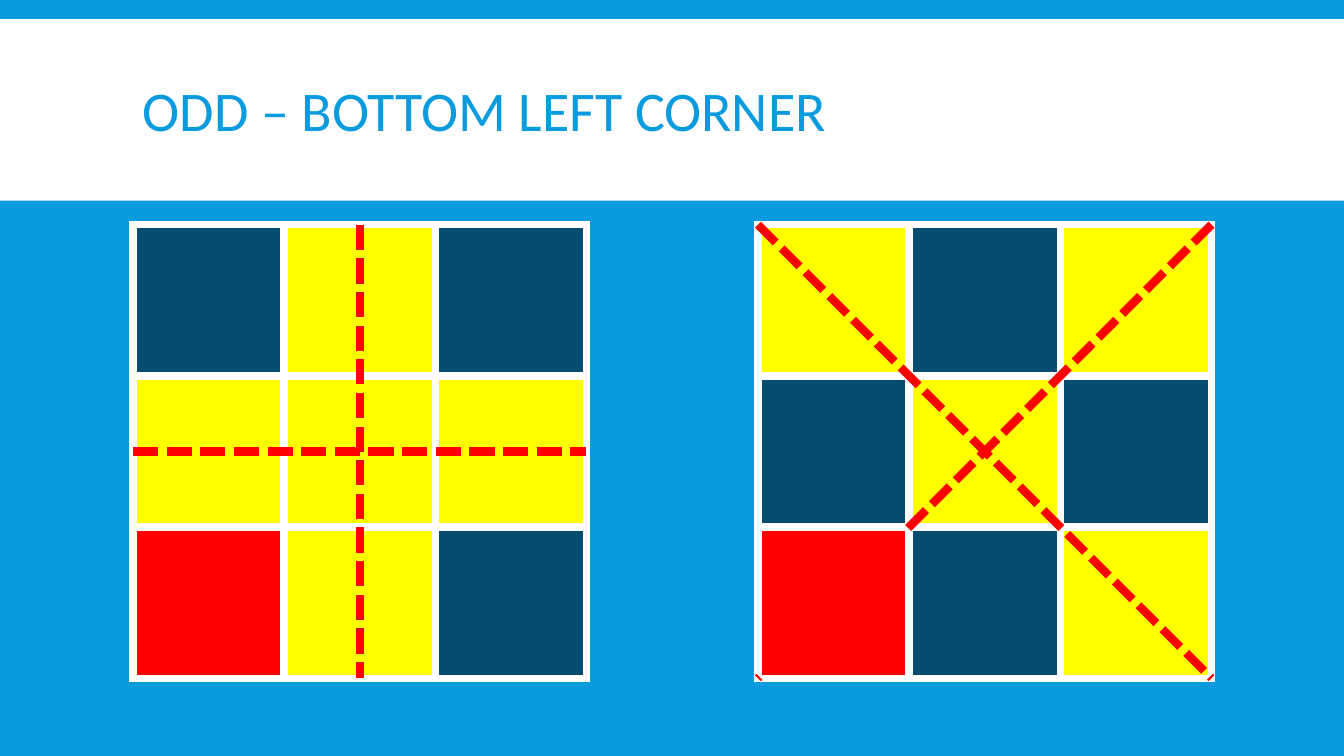
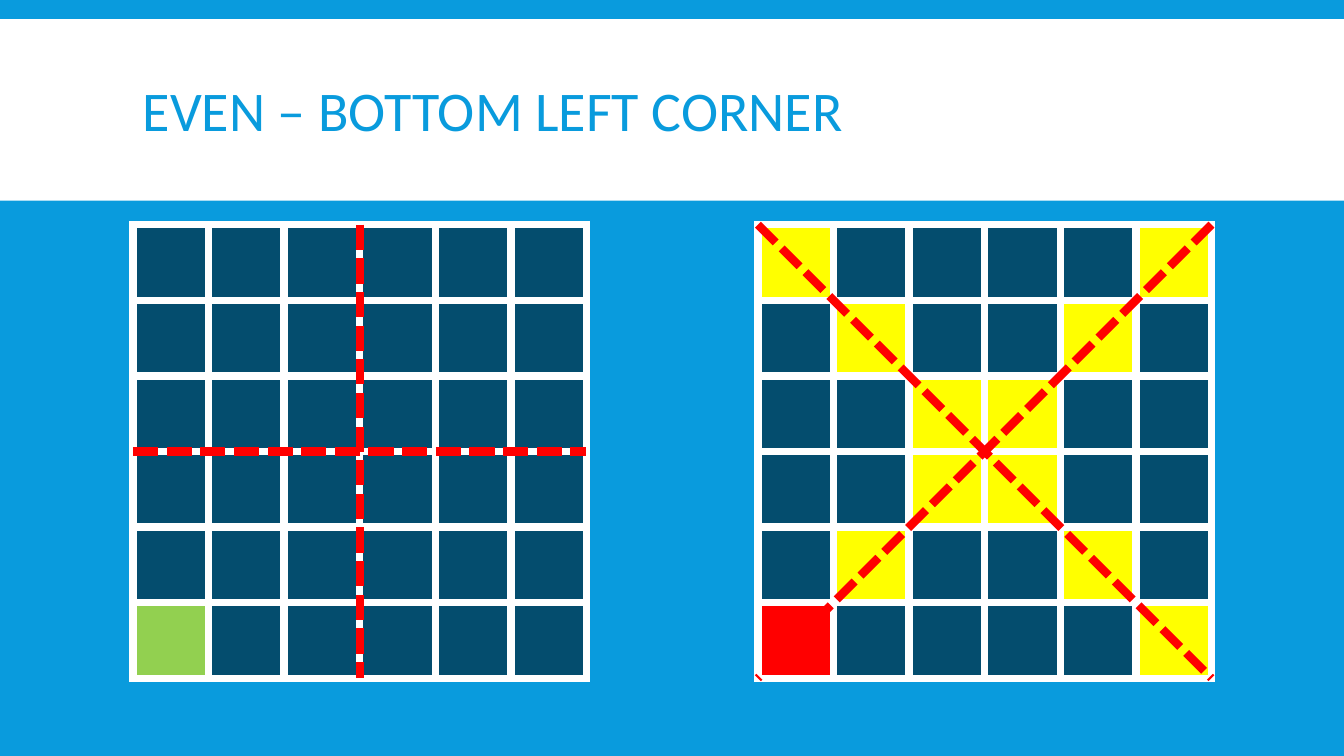
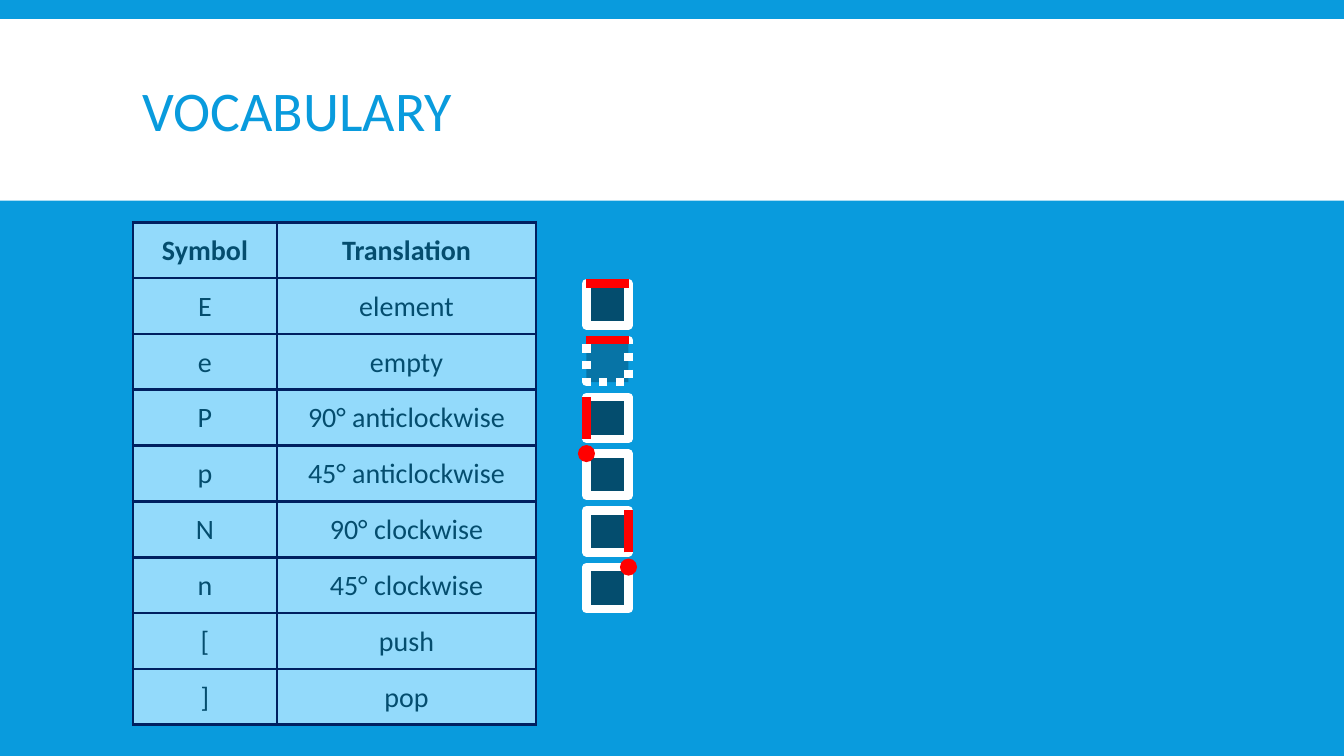
from lxml import etree
from pptx import Presentation
from pptx.dml.color import RGBColor
from pptx.enum.dml import MSO_LINE
from pptx.enum.shapes import MSO_CONNECTOR, MSO_SHAPE
from pptx.enum.text import MSO_ANCHOR, PP_ALIGN
from pptx.oxml.ns import qn
from pptx.util import Cm, Pt

BLUE = RGBColor(0x09, 0x9B, 0xDD)
WHITE = RGBColor(0xFF, 0xFF, 0xFF)
DARK = RGBColor(0x04, 0x4D, 0x6E)
MEDIUM = RGBColor(0x07, 0x74, 0xA6)
PALE = RGBColor(0x93, 0xDA, 0xFB)
NAVY = RGBColor(0x00, 0x20, 0x60)
YELLOW = RGBColor(0xFF, 0xFF, 0x00)
RED = RGBColor(0xFF, 0x00, 0x00)
GREEN = RGBColor(0x92, 0xD0, 0x50)

FONT = "Calibri"
DASH, DOT = MSO_LINE.SQUARE_DOT, MSO_LINE.ROUND_DOT
STRAIGHT = MSO_CONNECTOR.STRAIGHT
RECTANGLE, OVAL = MSO_SHAPE.RECTANGLE, MSO_SHAPE.OVAL
MIDDLE, CENTER = MSO_ANCHOR.MIDDLE, PP_ALIGN.CENTER

MARGIN = 3.35
BOARD_LEFTS = (MARGIN, 19.1)
BOARD_TOP = 5.66
BOARD_SIZE = 11.43

# Board squares: . plain, y on an axis, r start on an odd board, g start off the axes
SQUARE_COLOURS = {".": DARK, "y": YELLOW, "r": RED, "g": GREEN}

# Line ends as fractions of a square: x1, y1, x2, y2
AXES = ((0, 0.5, 1, 0.5), (0.5, 0, 0.5, 1))
DIAGONALS = ((1, 0, 0, 1), (0, 0, 1, 1))
TOP_EDGE, LEFT_EDGE, RIGHT_EDGE = (1, 0, 0, 0), (0, 0, 0, 1), (1, 1, 1, 0)
TOP_LEFT, TOP_RIGHT = (0, 0), (1, 0)


def style_cell(cell, fill, border, width):
    """Fill a table cell and draw the same border on its four sides."""
    properties = cell._tc.get_or_add_tcPr()
    for side in ("a:lnL", "a:lnR", "a:lnT", "a:lnB"):
        line = etree.SubElement(properties, qn(side), w=str(Pt(width)))
        solid = etree.SubElement(line, qn("a:solidFill"))
        etree.SubElement(solid, qn("a:srgbClr"), val=str(border))
    cell.fill.solid()
    cell.fill.fore_color.rgb = fill


def add_red_line(shapes, left, top, size, ends, dash=None):
    """Draw a line whose ends are fractions of the square at left, top."""
    x1, y1, x2, y2 = ends
    line = shapes.add_connector(
        STRAIGHT, Cm(left + x1 * size), Cm(top + y1 * size),
        Cm(left + x2 * size), Cm(top + y2 * size))
    line.line.color.rgb = RED
    line.line.width = Pt(6)
    if dash:
        line.line.dash_style = dash
    etree.SubElement(line._element.spPr, qn("a:effectLst"))


prs = Presentation()
prs.slide_width, prs.slide_height = Cm(33.87), Cm(19.05)
background = prs.slide_master.background.fill
background.solid()
background.fore_color.rgb = BLUE

# Title band on every slide
slides = []
for heading in ("ODD – BOTTOM LEFT CORNER", "EVEN – BOTTOM LEFT CORNER", "VOCABULARY"):
    slide = prs.slides.add_slide(prs.slide_layouts[6])
    slides.append(slide)
    band = slide.shapes.add_shape(RECTANGLE, 0, Cm(0.48), prs.slide_width, Cm(4.58))
    band.shadow.inherit = False
    band.fill.solid()
    band.fill.fore_color.rgb = WHITE
    band.line.fill.background()

    title = slide.shapes.add_textbox(Cm(MARGIN), Cm(0.79), Cm(27.18), Cm(4.19)).text_frame
    title.word_wrap = True
    title.vertical_anchor = MIDDLE
    paragraph = title.paragraphs[0]
    paragraph.text = heading
    paragraph.line_spacing = 0.85
    paragraph.font.name = FONT
    paragraph.font.size = Pt(40)
    paragraph.font.color.rgb = BLUE

# Odd and even boards: straight axes on the left, diagonals on the right
odd_boards = (
    (".y.", "yyy", "ry."),
    ("y.y", ".y.", "r.y"),
)
even_boards = (
    ("......",) * 5 + ("g.....",),
    ("y....y", ".y..y.", "..yy..", "..yy..", ".y..y.", "r....y"),
)
for slide, boards in zip(slides, (odd_boards, even_boards)):
    for left, pattern, mirrors in zip(BOARD_LEFTS, boards, (AXES, DIAGONALS)):
        count = len(pattern)
        board = slide.shapes.add_table(
            count, count, Cm(left), Cm(BOARD_TOP), Cm(BOARD_SIZE), Cm(BOARD_SIZE)).table
        for row, squares in enumerate(pattern):
            for column, square in enumerate(squares):
                style_cell(board.cell(row, column), SQUARE_COLOURS[square], WHITE, 6)
        for ends in mirrors:
            add_red_line(slide.shapes, left, BOARD_TOP, BOARD_SIZE, ends, DASH)

# Vocabulary table
vocabulary = (
    ("Symbol", "Translation"),
    ("E", "element"),
    ("e", "empty"),
    ("P", "90° anticlockwise"),
    ("p", "45° anticlockwise"),
    ("N", "90° clockwise"),
    ("n", "45° clockwise"),
    ("[", "push"),
    ("]", "pop"),
)
shapes = slides[2].shapes
table = shapes.add_table(
    len(vocabulary), 2, Cm(MARGIN), Cm(5.6), Cm(10.16), Cm(12.67)).table
table.columns[0].width, table.columns[1].width = Cm(3.63), Cm(6.53)
for row, entry in enumerate(vocabulary):
    for column, words in enumerate(entry):
        cell = table.cell(row, column)
        style_cell(cell, PALE, NAVY, 2.25)
        cell.vertical_anchor = MIDDLE
        cell.margin_left = cell.margin_right = cell.margin_top = Cm(0.03)
        cell.margin_bottom = 0
        paragraph = cell.text_frame.paragraphs[0]
        paragraph.text = words
        paragraph.alignment = CENTER
        paragraph.font.name = FONT
        paragraph.font.size = Pt(20)
        paragraph.font.bold = row == 0
        paragraph.font.color.rgb = DARK

# One icon beside each of the first six symbols: fill, outline dash, red edge, red corner
icons = (
    (DARK, None, TOP_EDGE, None),
    (MEDIUM, DOT, TOP_EDGE, None),
    (DARK, None, LEFT_EDGE, None),
    (DARK, None, None, TOP_LEFT),
    (DARK, None, RIGHT_EDGE, None),
    (DARK, None, None, TOP_RIGHT),
)
ICON_LEFT, ICON_TOP, ICON_PITCH = 14.78, 7.14, 1.43
ICON_SIZE, CORNER_DOT = 1.06, 0.43
for index, (fill, dash, edge, corner) in enumerate(icons):
    top = ICON_TOP + index * ICON_PITCH
    icon = shapes.add_group_shape().shapes
    element = icon.add_shape(
        RECTANGLE, Cm(ICON_LEFT), Cm(top), Cm(ICON_SIZE), Cm(ICON_SIZE))
    element.shadow.inherit = False
    element.fill.solid()
    element.fill.fore_color.rgb = fill
    element.line.color.rgb = WHITE
    element.line.width = Pt(6)
    if dash:
        element.line.dash_style = dash
    if edge:
        add_red_line(icon, ICON_LEFT, top, ICON_SIZE, edge)
    if corner:
        x, y = corner
        pivot = icon.add_shape(
            OVAL, Cm(ICON_LEFT + x * ICON_SIZE - CORNER_DOT / 2),
            Cm(top + y * ICON_SIZE - CORNER_DOT / 2), Cm(CORNER_DOT), Cm(CORNER_DOT))
        pivot.shadow.inherit = False
        pivot.fill.solid()
        pivot.fill.fore_color.rgb = RED
        pivot.line.fill.background()

prs.save("out.pptx")
